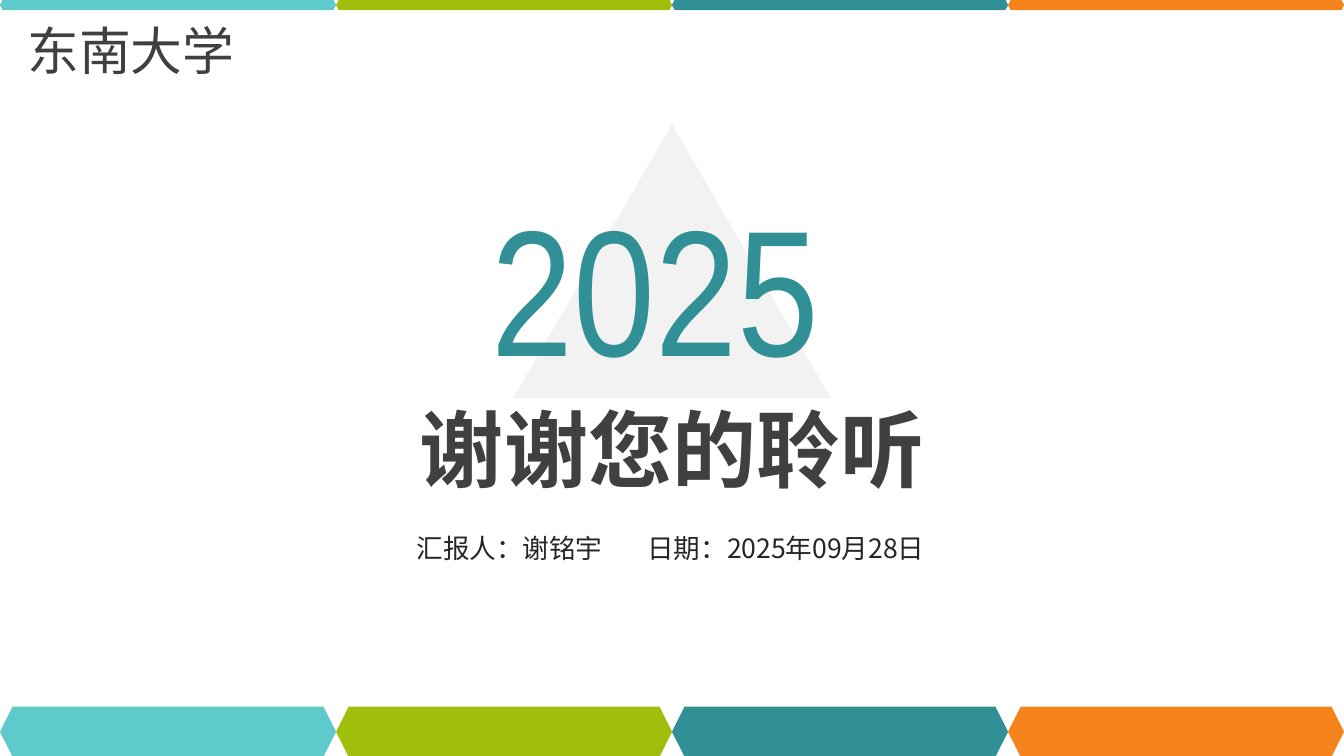
from pptx import Presentation
from pptx.dml.color import RGBColor
from pptx.enum.shapes import MSO_SHAPE as SHAPE
from pptx.enum.text import MSO_ANCHOR as ANCHOR, PP_ALIGN as ALIGN
from pptx.util import Inches, Pt

SANS = "Noto Sans CJK SC"
BAND_COLORS = ["5FCACB", "A0BF0D", "319095", "F5841C"]
BAND_WIDTH = 13.33 / len(BAND_COLORS)


def rgb(value):
    """Turn a hex string into a colour."""
    return RGBColor.from_string(value)


def add_block(s, kind, x, y, w, h, color):
    """Add a flat filled shape without outline or shadow."""
    sp = s.shapes.add_shape(kind, Inches(x), Inches(y), Inches(w), Inches(h))
    sp.shadow.inherit = False
    sp.fill.solid()
    sp.fill.fore_color.rgb = rgb(color)
    sp.line.fill.background()
    return sp


def add_band(s, y, h):
    """Add a row of coloured hexagons across the slide."""
    for i, color in enumerate(BAND_COLORS):
        add_block(s, SHAPE.HEXAGON, i * BAND_WIDTH, y, BAND_WIDTH, h, color)


def add_text(s, text, x, y, w, h, *, size, color, font=SANS, bold=False,
             align=ALIGN.CENTER, wrap=False, inset=(0.1, 0.05)):
    """Add a one-paragraph text box."""
    sp = s.shapes.add_textbox(Inches(x), Inches(y), Inches(w), Inches(h))
    tf = sp.text_frame
    tf.word_wrap = wrap
    tf.vertical_anchor = ANCHOR.TOP
    tf.margin_left = tf.margin_right = Inches(inset[0])
    tf.margin_top = tf.margin_bottom = Inches(inset[1])
    p = tf.paragraphs[0]
    p.alignment = align
    r = p.add_run()
    r.text = text
    r.font.size = Pt(size)
    r.font.bold = bold
    r.font.name = font
    r.font.color.rgb = rgb(color)
    ea = r.font._element.makeelement(
        "{http://schemas.openxmlformats.org/drawingml/2006/main}ea", {"typeface": font})
    r.font._element.append(ea)
    return sp


def main():
    """Build the closing slide."""
    prs = Presentation()
    prs.slide_width, prs.slide_height = Inches(13.33), Inches(7.5)
    s = prs.slides.add_slide(prs.slide_layouts[6])

    add_block(s, SHAPE.ISOSCELES_TRIANGLE, 5.09, 1.23, 3.15, 2.72, "F2F2F2")
    add_band(s, 7.01, 0.5)
    add_band(s, 0, 0.1)

    add_text(s, "2025", 4.78, 1.71, 3.92, 2.26, size=128, color="319095",
             font="Arial Narrow", align=ALIGN.LEFT)
    add_text(s, "谢谢您的聆听", 4.04, 3.89, 5.25, 1.11, size=60, color="404040", bold=True)
    add_text(s, "汇报人：谢铭宇", 4.02, 5.23, 2.07, 0.42, size=19, color="262626")
    add_text(s, "日期：2025年09月28日", 6.27, 5.23, 3.05, 0.42, size=19, color="262626",
             wrap=True)
    add_text(s, "东南大学", 0.13, 0.12, 2.34, 0.76, size=37, color="404040",
             inset=(0.13, 0.07))

    prs.save("out.pptx")


if __name__ == "__main__":
    main()
